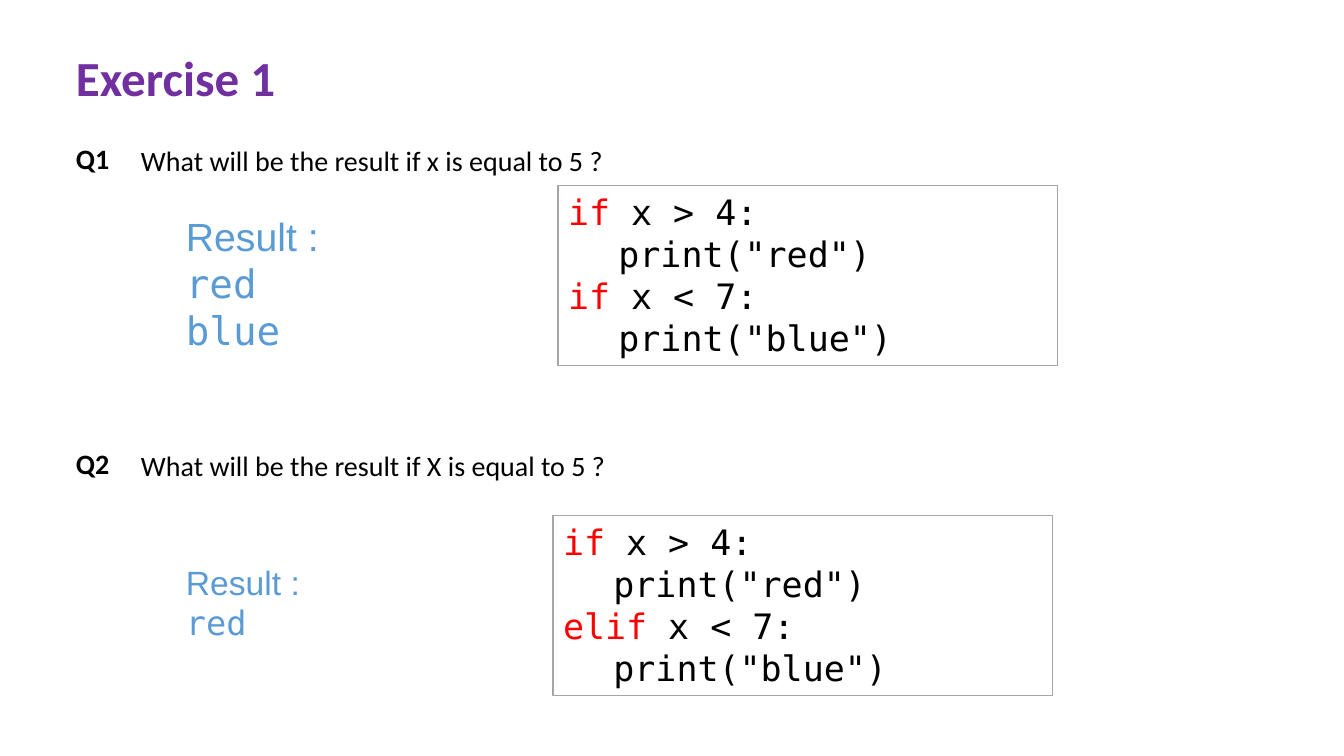
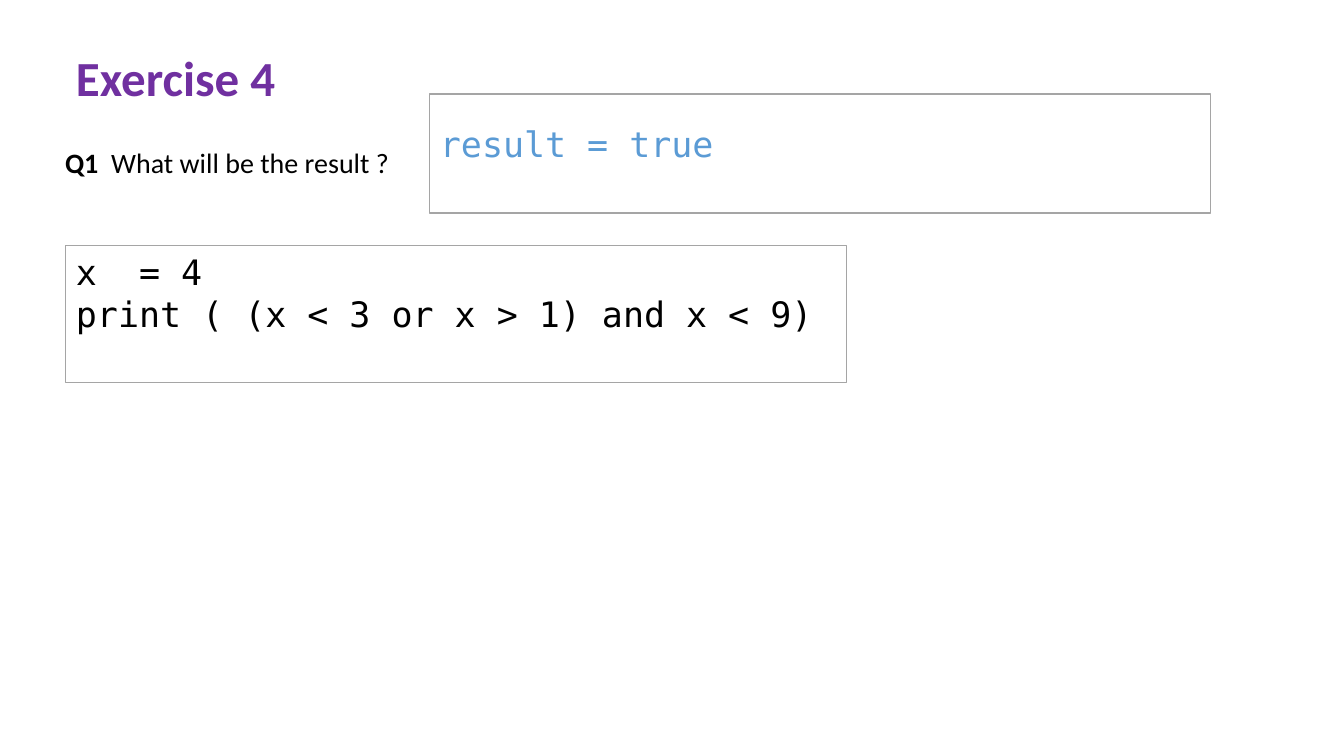
from collections import namedtuple

from pptx import Presentation
from pptx.dml.color import RGBColor
from pptx.enum.shapes import MSO_SHAPE as Preset
from pptx.enum.text import MSO_ANCHOR as Anchor, PP_ALIGN as Align
from pptx.util import Emu, Pt

Style = namedtuple("Style", "font size color bold", defaults=(False,))
Box = namedtuple("Box", "left top width height")


class Theme:
    """Colours, type styles and shared measures of the slides."""

    sans, arial, mono = "Calibri", "Arial", "DejaVu Sans Mono"
    purple, black, red, blue = "7030A0", "000000", "FF0000", "5B9BD5"
    border, border_width = "A5A5A5", 0.75
    inset_x, inset_y = 10, 5
    styles = {
        "title": Style(sans, 35, purple, True),
        "label": Style(sans, 20, black, True),
        "question": Style(sans, 20, black),
        "code": Style(mono, 25, black),
        "keyword": Style(mono, 25, red),
        "answer": Style(mono, 25, blue),
        "result large": Style(arial, 28, blue),
        "output large": Style(mono, 28, blue),
        "result small": Style(arial, 24, blue),
        "output small": Style(mono, 24, blue),
    }


SLIDE_WIDTH, SLIDE_HEIGHT = 1344, 756
EMU_PER_PIXEL = 12192000 / SLIDE_WIDTH
TITLE_BOX = Box(66, 43, 222, 70)
LABEL_LEFT, QUESTION_LEFT = 66, 131
RESULT_LEFT, RESULT_WIDTH = 176, 377
BRANCH_WIDTH, BRANCH_HEIGHT = 500, 180

BRANCH_QUESTIONS = [
    {
        "label": "Q1 ", "top": 136,
        "question": "What will be the result if x is equal to 5 ?",
        "keywords": ("if", "if"), "code_at": (558, 186),
        "outputs": ("red ", "blue"), "size": "large",
        "result_top": 207, "result_height": 152,
    },
    {
        "label": "Q2 ", "top": 441,
        "question": "What will be the result if X is equal to 5 ?",
        "keywords": ("if", "elif"), "code_at": (553, 516),
        "outputs": ("red ",), "size": "small",
        "result_top": 557, "result_height": 92,
    },
]
BRANCHES = [(" x > 4:", '\tprint("red")'), (" x < 7:", '\tprint("blue")')]

LOGIC_QUESTION = [[("label", "Q1 "), ("question", " What will be the result ?")]]
LOGIC_CODE = [
    [("code", "x  = 4")],
    [("code", "print ( (x < 3 or x > 1) and x < 9)")],
]
LOGIC_ANSWER = [[("answer", "result = true")]]


def px(pixels):
    """Turn pixels into EMU."""
    return Emu(round(pixels * EMU_PER_PIXEL))


def fill_text(shape, lines, inset_top=Theme.inset_y):
    """Write lines, each a list of (style name, text) runs, into a shape."""
    frame = shape.text_frame
    frame.word_wrap = True
    frame.vertical_anchor = Anchor.TOP
    frame.margin_left = frame.margin_right = px(Theme.inset_x)
    frame.margin_top, frame.margin_bottom = px(inset_top), px(Theme.inset_y)
    for index, line in enumerate(lines):
        paragraph = frame.add_paragraph() if index else frame.paragraphs[0]
        paragraph.alignment = Align.LEFT
        for name, text in line:
            style = Theme.styles[name]
            run = paragraph.add_run()
            run.text = text
            run.font.name, run.font.size = style.font, Pt(style.size)
            run.font.bold = style.bold
            run.font.color.rgb = RGBColor.from_string(style.color)


def add_text(slide, box, lines):
    """Add a plain text box."""
    fill_text(slide.shapes.add_textbox(*map(px, box)), lines)


def add_panel(slide, box, lines, inset_top=Theme.inset_y):
    """Add an outlined panel without fill."""
    panel = slide.shapes.add_shape(Preset.RECTANGLE, *map(px, box))
    panel.shadow.inherit = False
    panel.fill.background()
    panel.line.color.rgb = RGBColor.from_string(Theme.border)
    panel.line.width = Pt(Theme.border_width)
    fill_text(panel, lines, inset_top)


def add_exercise(presentation, title):
    """Add a blank slide with the exercise title."""
    slide = presentation.slides.add_slide(presentation.slide_layouts[6])
    add_text(slide, TITLE_BOX, [[("title", title)]])
    return slide


def add_branch_question(slide, item):
    """Add a question with its branching code and its result."""
    top, size = item["top"], item["size"]
    add_text(slide, Box(LABEL_LEFT, top, 60, 44), [[("label", item["label"])]])
    add_text(slide, Box(QUESTION_LEFT, top + 2, 489, 44),
             [[("question", item["question"])]])
    code = []
    for keyword, (condition, action) in zip(item["keywords"], BRANCHES):
        code.append([("keyword", keyword), ("code", condition)])
        code.append([("code", action)])
    add_panel(slide, Box(*item["code_at"], BRANCH_WIDTH, BRANCH_HEIGHT), code)
    result = [[(f"result {size}", "Result :")]]
    result += [[(f"output {size}", text)] for text in item["outputs"]]
    add_text(slide, Box(RESULT_LEFT, item["result_top"], RESULT_WIDTH,
                        item["result_height"]), result)


def main():
    """Build both exercises and save them."""
    presentation = Presentation()
    presentation.slide_width = px(SLIDE_WIDTH)
    presentation.slide_height = px(SLIDE_HEIGHT)

    branching = add_exercise(presentation, "Exercise 1")
    for item in BRANCH_QUESTIONS:
        add_branch_question(branching, item)

    logic = add_exercise(presentation, "Exercise 4")
    add_text(logic, Box(55, 140, 348, 44), LOGIC_QUESTION)
    add_panel(logic, Box(66, 246, 781, 137), LOGIC_CODE)
    add_panel(logic, Box(430, 94, 781, 119), LOGIC_ANSWER, inset_top=28)

    presentation.save("out.pptx")


main()
